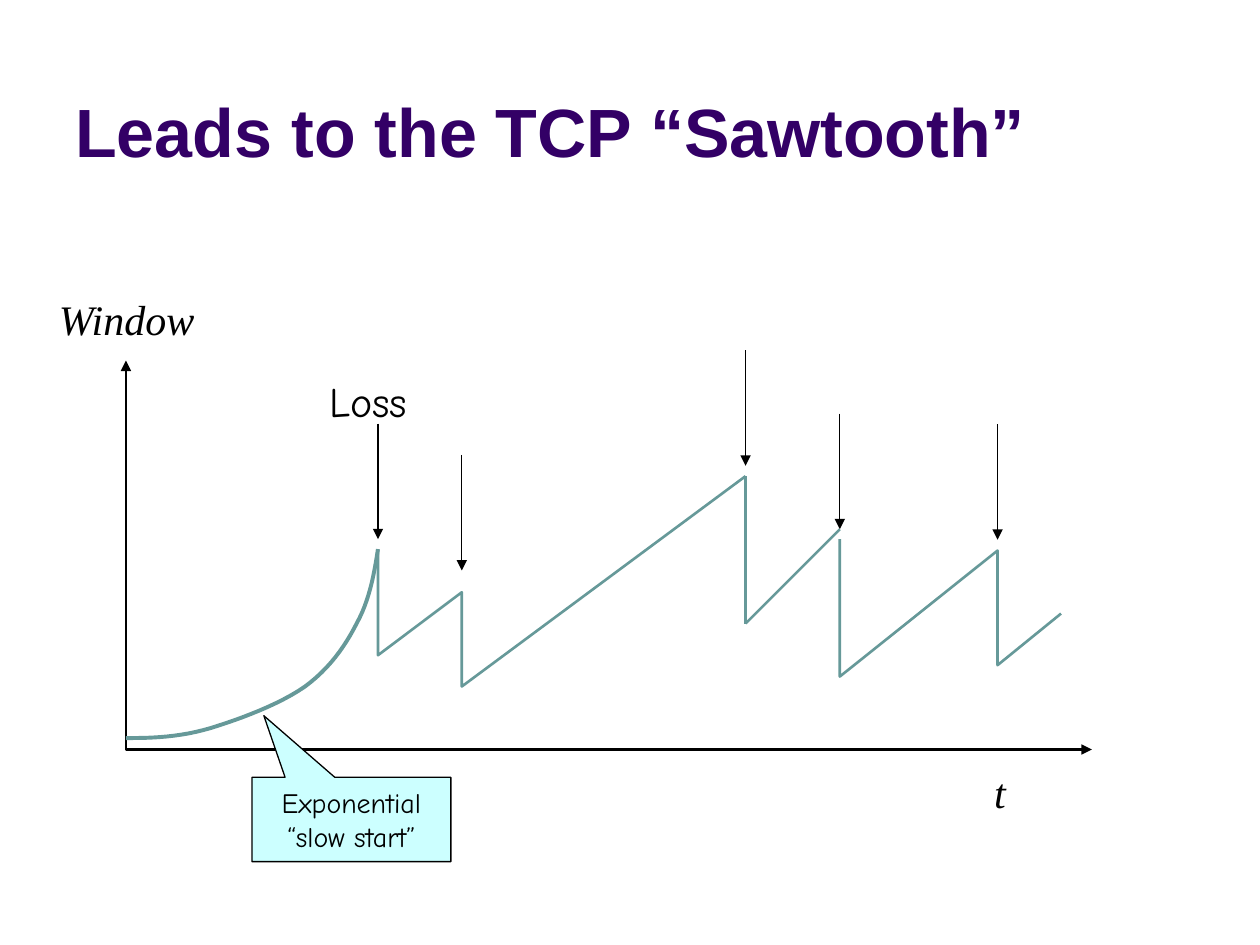
from lxml import etree
from pptx import Presentation
from pptx.dml.color import RGBColor
from pptx.enum.shapes import MSO_CONNECTOR, MSO_SHAPE
from pptx.enum.text import MSO_ANCHOR, PP_ALIGN
from pptx.oxml.ns import qn
from pptx.util import Cm, Pt

STRAIGHT = MSO_CONNECTOR.STRAIGHT
CALLOUT = MSO_SHAPE.RECTANGULAR_CALLOUT
TOP, MIDDLE, BOTTOM = MSO_ANCHOR.TOP, MSO_ANCHOR.MIDDLE, MSO_ANCHOR.BOTTOM
LEFT, CENTER = PP_ALIGN.LEFT, PP_ALIGN.CENTER

BLACK = RGBColor(0x00, 0x00, 0x00)
PURPLE = RGBColor(0x33, 0x00, 0x66)
TEAL = RGBColor(0x66, 0x99, 0x99)
PALE_CYAN = RGBColor(0xCC, 0xFF, 0xFF)

TITLE_FONT = "Arial"
AXIS_FONT = "Times New Roman"
NOTE_FONT = "Comic Neue"

# All coordinates are in centimetres.
LOSS_ARROW_LENGTH = 2.33
LOSS_ARROW_TOPS = [(7.62, 8.54), (9.31, 9.17), (15.03, 7.06), (16.93, 8.34), (20.11, 8.55)]
AXES = [(2.54, 7.27), (2.54, 15.11), (22.01, 15.11)]
SLOW_START = [
    (7.62, 11.07),
    (7.54, 11.61), (7.44, 12.12), (7.19, 12.57),
    (6.96, 13.03), (6.63, 13.49), (6.15, 13.84),
    (5.64, 14.20), (4.83, 14.50), (4.24, 14.68),
    (3.63, 14.86), (3.10, 14.88), (2.54, 14.88),
]
FIRST_TEETH = [(7.62, 11.07), (7.62, 13.21), (9.31, 11.94), (9.31, 13.84), (15.03, 9.6)]
LAST_TEETH = [(16.93, 10.87), (16.93, 13.64), (20.11, 11.1), (20.11, 13.41), (21.39, 12.37)]
MIDDLE_TOOTH = [(15.03, 9.6), (15.03, 12.57), (16.93, 10.67)]


def bezier_points(controls, steps=12):
    """Sample a chain of cubic curves whose segments share their end points."""
    points = [controls[0]]
    for first in range(0, len(controls) - 1, 3):
        segment = controls[first:first + 4]
        for step in range(1, steps + 1):
            t = step / steps
            weights = ((1 - t) ** 3, 3 * t * (1 - t) ** 2, 3 * t ** 2 * (1 - t), t ** 3)
            points.append(tuple(
                sum(weight * point[axis] for weight, point in zip(weights, segment))
                for axis in (0, 1)))
    return points


class SlideBuilder:
    def __init__(self, slide):
        self.shapes = slide.shapes

    def style_line(self, shape, color, width, arrows=()):
        """Colour the line; arrows lists its ends, headEnd before tailEnd."""
        shape.line.color.rgb = color
        shape.line.width = Pt(width)
        for end in arrows:
            etree.SubElement(shape.line._ln, qn(f"a:{end}"), type="triangle")

    def line(self, start, end, color, width, arrows=()):
        connector = self.shapes.add_connector(STRAIGHT, *map(Cm, start + end))
        self.style_line(connector, color, width, arrows)
        etree.SubElement(connector._element.spPr, qn("a:effectLst"))

    def outline(self, points, color, width, arrows=()):
        points = [(Cm(x), Cm(y)) for x, y in points]
        builder = self.shapes.build_freeform(*points[0])
        builder.add_line_segments(points[1:], close=False)
        shape = builder.convert_to_shape()
        shape.shadow.inherit = False
        shape.fill.background()
        self.style_line(shape, color, width, arrows)

    def add_lines(self, frame, lines, font, size, color=BLACK, align=LEFT,
                  bold=False, italic=False):
        paragraph = frame.paragraphs[0]
        paragraph.alignment = align
        for index, text in enumerate(lines):
            if index:
                paragraph.add_line_break()
            run = paragraph.add_run()
            run.text = text
            run.font.name = font
            run.font.size = Pt(size)
            run.font.bold = bold
            run.font.italic = italic
            run.font.color.rgb = color

    def text(self, box, text, font, size, wrap=False, anchor=TOP, **style):
        frame = self.shapes.add_textbox(*map(Cm, box)).text_frame
        frame.word_wrap = wrap
        frame.vertical_anchor = anchor
        self.add_lines(frame, [text], font, size, **style)

    def callout(self, box, tip, lines):
        """Draw a callout; tip is its offset from the centre in box sizes."""
        shape = self.shapes.add_shape(CALLOUT, *map(Cm, box))
        shape.adjustments[0], shape.adjustments[1] = tip
        shape.shadow.inherit = False
        shape.fill.solid()
        shape.fill.fore_color.rgb = PALE_CYAN
        self.style_line(shape, BLACK, 0.75)
        shape.text_frame.word_wrap = True
        shape.text_frame.vertical_anchor = MIDDLE
        self.add_lines(shape.text_frame, lines, NOTE_FONT, 16, align=CENTER)


def main():
    presentation = Presentation()
    presentation.slide_width = Cm(25.4)
    presentation.slide_height = Cm(19.05)
    slide = SlideBuilder(presentation.slides.add_slide(presentation.slide_layouts[6]))

    slide.text((1.27, 0.33, 22.86, 3.25), "Leads to the TCP “Sawtooth”", TITLE_FONT, 39,
               wrap=True, anchor=BOTTOM, color=PURPLE, bold=True)
    slide.outline(AXES, BLACK, 1.5, arrows=("headEnd", "tailEnd"))
    for x, top in LOSS_ARROW_TOPS:
        slide.line((x, top), (x, top + LOSS_ARROW_LENGTH), BLACK, 0.75, arrows=("tailEnd",))
    slide.text((6.4, 7.44, 2.26, 1.27), "Loss", NOTE_FONT, 24)

    slide.outline(bezier_points(SLOW_START), TEAL, 2.25)
    slide.callout((5.08, 15.67, 4.01, 1.7), (-0.44, -1.23), ["Exponential", "“slow start”"])
    slide.text((19.79, 15.32, 0.74, 1.27), "t", AXIS_FONT, 24, italic=True)
    slide.text((0.94, 5.79, 3.28, 1.27), "Window", AXIS_FONT, 24, italic=True)

    for teeth in (FIRST_TEETH, LAST_TEETH):
        slide.outline(teeth, TEAL, 1.5)
    for start, end in zip(MIDDLE_TOOTH, MIDDLE_TOOTH[1:]):
        slide.line(start, end, TEAL, 1.5)

    presentation.save("out.pptx")


if __name__ == "__main__":
    main()
